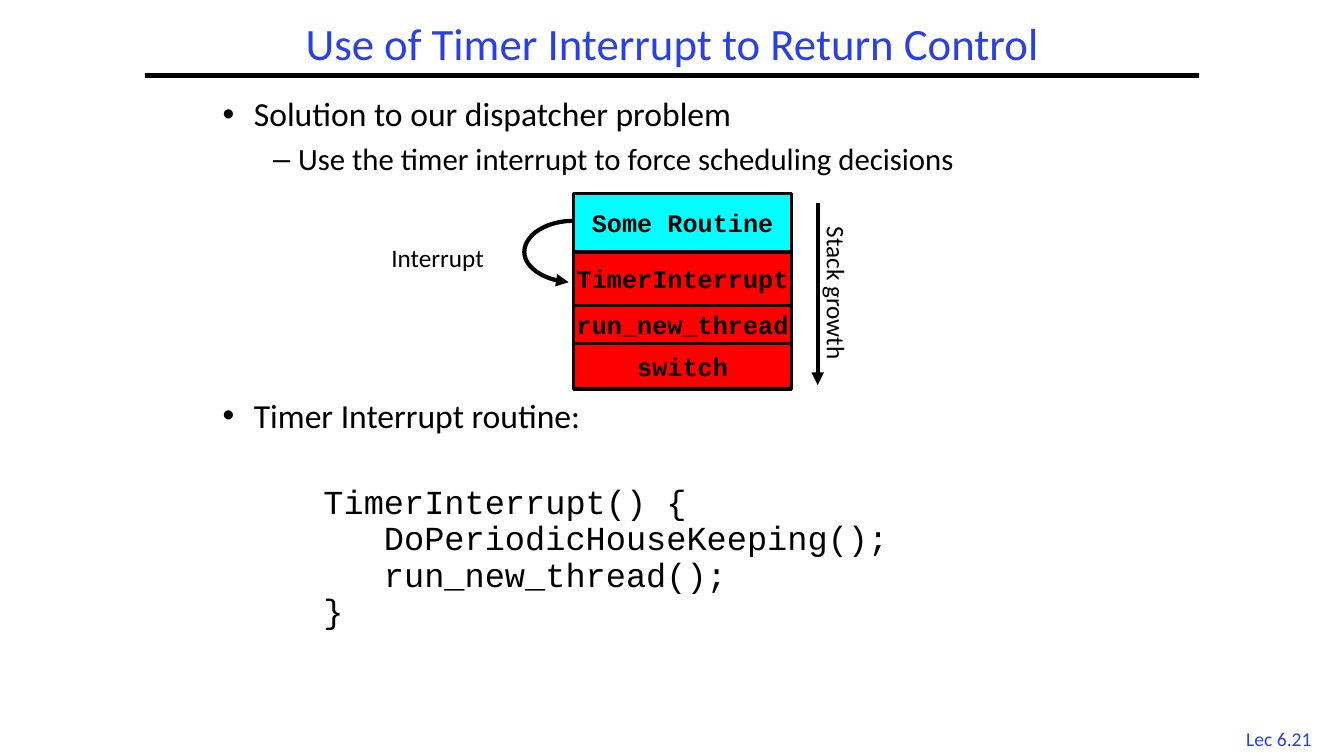
from lxml import etree
from pptx import Presentation
from pptx.dml.color import RGBColor
from pptx.enum.shapes import MSO_CONNECTOR, MSO_SHAPE
from pptx.enum.text import MSO_ANCHOR, PP_ALIGN
from pptx.oxml.ns import qn
from pptx.util import Pt

PX = 9144  # 100 px to the inch
BLUE = RGBColor(0x2A, 0x40, 0xE2)
BLACK = RGBColor(0x00, 0x00, 0x00)
CYAN = RGBColor(0x00, 0xFF, 0xFF)
RED = RGBColor(0xFF, 0x00, 0x00)
SANS, MONO = "Calibri", "Courier New"
LEFT, CENTER = PP_ALIGN.LEFT, PP_ALIGN.CENTER
MIDDLE = MSO_ANCHOR.MIDDLE
STRAIGHT, RECTANGLE = MSO_CONNECTOR.STRAIGHT, MSO_SHAPE.RECTANGLE

CODE = [
    "TimerInterrupt() {",
    "   DoPeriodicHouseKeeping();",
    "   run_new_thread();",
    "}",
]
FRAMES = [
    ("Some Routine", 58, CYAN),
    ("TimerInterrupt", 53, RED),
    ("run_new_thread", 38, RED),
    ("switch", 45, RED),
]


def emu(*lengths):
    return [round(length * PX) for length in lengths]


def style(paragraph, size, color=BLACK, name=SANS, bold=False, align=LEFT):
    paragraph.alignment = align
    font = paragraph.font
    font.size, font.name, font.bold = Pt(size), name, bold
    font.color.rgb = color


def add_text(slide, box, lines, size, wrap=True, spacing=0.9, **look):
    shape = slide.shapes.add_textbox(*emu(*box))
    frame = shape.text_frame
    frame.word_wrap = wrap
    frame.text = "\n".join(lines)
    for paragraph in frame.paragraphs:
        paragraph.line_spacing = spacing
        style(paragraph, size, **look)
    return shape


def add_bullets(slide, box, items):
    frame = slide.shapes.add_textbox(*emu(*box)).text_frame
    frame.word_wrap = True
    for index, (text, mark, margin, hang, size) in enumerate(items):
        paragraph = frame.paragraphs[0] if index == 0 else frame.add_paragraph()
        paragraph.text = text
        properties = paragraph._p.get_or_add_pPr()
        properties.set("marL", str(margin * PX))
        properties.set("indent", str(-hang * PX))
        etree.SubElement(properties, qn("a:buFont")).set("typeface", "Arial")
        etree.SubElement(properties, qn("a:buChar")).set("char", mark)
        paragraph.line_spacing = 0.9
        if index:
            paragraph.space_before = Pt(7)
        style(paragraph, size)


def add_arrowhead(shape):
    line = shape.line._get_or_add_ln()
    etree.SubElement(line, qn("a:tailEnd")).set("type", "triangle")


def add_line(slide, *ends):
    line = slide.shapes.add_connector(STRAIGHT, *emu(*ends))
    line.line.color.rgb = BLACK
    line.line.width = Pt(3)
    etree.SubElement(line._element.spPr, qn("a:effectLst"))
    return line


def bezier(p0, p1, p2, p3, steps=12):
    for step in range(1, steps + 1):
        t = step / steps
        yield tuple(
            (1 - t) ** 3 * a + 3 * (1 - t) ** 2 * t * b + 3 * (1 - t) * t * t * c + t ** 3 * d
            for a, b, c, d in zip(p0, p1, p2, p3)
        )


def add_header(slide, left, top, width, height):
    title = add_text(slide, (left + 98, top, width - 195, height),
                     ["Use of Timer Interrupt to Return Control"], 32,
                     color=BLUE, align=CENTER)
    title.text_frame.vertical_anchor = MIDDLE
    add_line(slide, left, top + height, left + width, top + height)


def add_interrupt_arrow(slide, left, top):
    start, turn, end = (left + 49, top), (left, top + 31), (left + 44, top + 61)
    points = [
        *bezier(start, (left + 22, top), (left, top + 14), turn),
        *bezier(turn, (left, top + 46), (left + 19, top + 59), end),
    ]
    builder = slide.shapes.build_freeform(*emu(*start), scale=1.0)
    builder.add_line_segments([emu(*point) for point in points], close=False)
    arrow = builder.convert_to_shape()
    arrow.shadow.inherit = False
    arrow.fill.background()
    arrow.line.color.rgb = BLACK
    arrow.line.width = Pt(3)
    add_arrowhead(arrow)


def add_stack(slide, left, top, width):
    # Stack frames
    frame_top = top
    for name, height, color in FRAMES:
        shape = slide.shapes.add_shape(RECTANGLE, *emu(left, frame_top, width, height))
        shape.shadow.inherit = False
        shape.fill.solid()
        shape.fill.fore_color.rgb = color
        shape.line.color.rgb = BLACK
        shape.line.width = Pt(2.25)
        shape.text_frame.word_wrap = False
        shape.text_frame.vertical_anchor = MIDDLE
        shape.text_frame.text = name
        style(shape.text_frame.paragraphs[0], 18, name=MONO, bold=True, align=CENTER)
        frame_top += height

    # Interrupt on the left
    add_interrupt_arrow(slide, left - 49, top + 27)
    add_text(slide, (left - 192, top + 43, 114, 40), ["Interrupt"], 18,
             wrap=False, spacing=1.0, align=CENTER)

    # Growth direction on the right
    growth_x = left + width + 26
    label = add_text(slide, (growth_x - 64, top + 79, 166, 40), ["Stack growth"], 18,
                     wrap=False, spacing=1.0, align=CENTER)
    label.rotation = 90
    add_arrowhead(add_line(slide, growth_x, top + 9, growth_x, top + 190))


def add_body(slide, left, top, width):
    add_bullets(slide, (left, top, width, 95), [
        ("Solution to our dispatcher problem", "•", 31, 31, 24),
        ("Use the timer interrupt to force scheduling decisions", "–", 75, 25, 22),
    ])
    add_stack(slide, left + 358, top + 100, 216)
    add_bullets(slide, (left, top + 299, width, 48),
                [("Timer Interrupt routine:", "•", 31, 31, 24)])
    add_text(slide, (left + 100, top + 384, width - 100, 155), CODE, 24,
             spacing=Pt(26), name=MONO)


def main():
    presentation = Presentation()
    presentation.slide_width, presentation.slide_height = emu(1333, 750)
    slide = presentation.slides.add_slide(presentation.slide_layouts[6])
    add_header(slide, 144, 17, 1045, 58)
    add_body(slide, 211, 92, 900)
    # Page number
    add_text(slide, (1220, 716, 97, 33), ["Lec 6.21"], 14,
             wrap=False, spacing=1.0, color=BLUE, align=CENTER)
    presentation.save("out.pptx")


if __name__ == "__main__":
    main()
